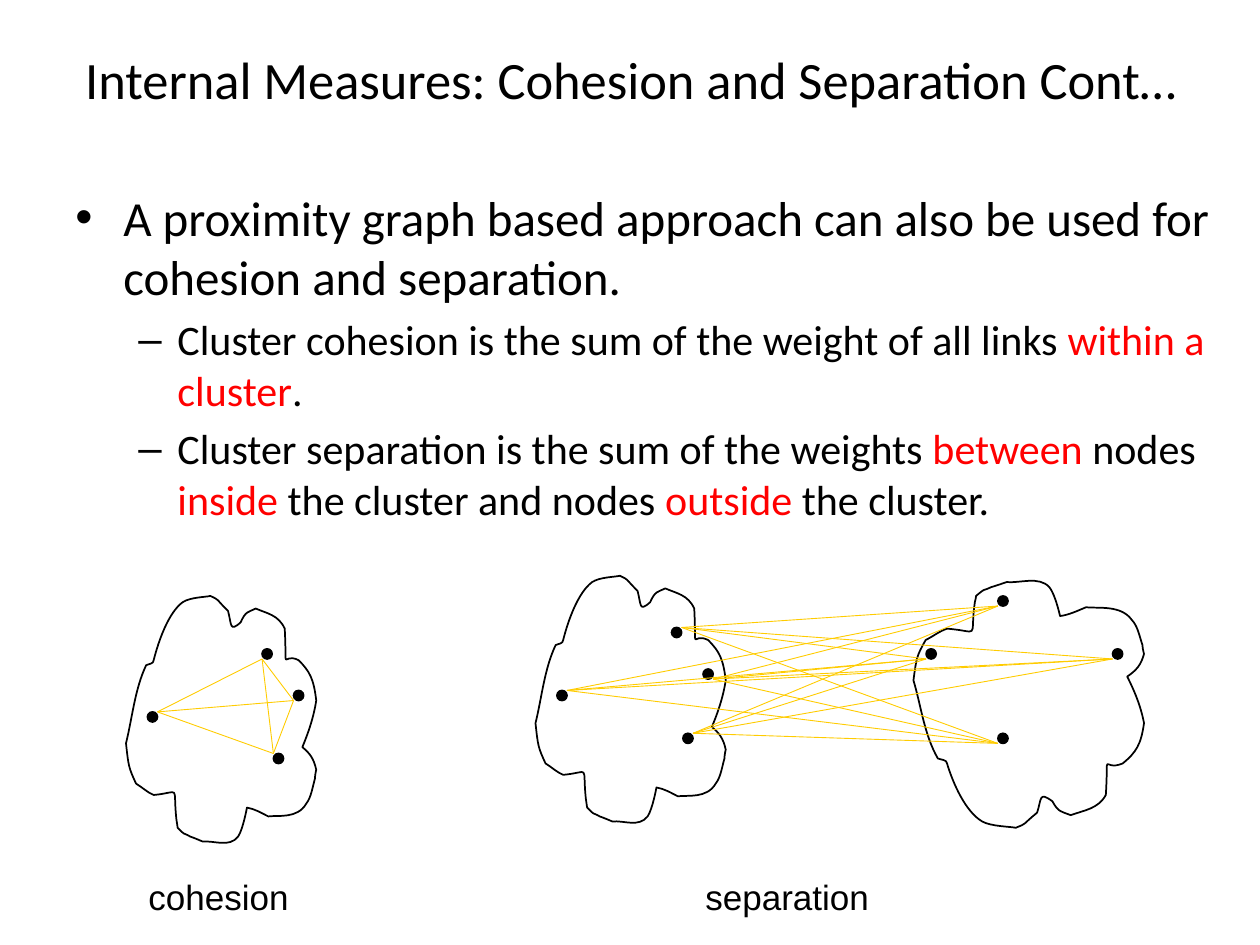
import itertools

import pptx
import pptx.dml.color
import pptx.enum.shapes
import pptx.enum.text
import pptx.oxml.ns
import pptx.util

Inches, Pt = pptx.util.Inches, pptx.util.Pt
qn = pptx.oxml.ns.qn
BLACK, RED, YELLOW = "000000", "FF0000", "FFCC00"
DOT = 0.08

TITLE = "Internal Measures: Cohesion and Separation Cont…"
# Each paragraph: level, then (text, colour) runs
BODY = [
    (0, [("A proximity graph based approach can also be used for cohesion and separation.", BLACK)]),
    (1, [("Cluster cohesion is the sum of the weight of all links ", BLACK),
         ("within a cluster", RED), (".", BLACK)]),
    (1, [("Cluster separation is the sum of the weights ", BLACK), ("between ", RED),
         ("nodes ", BLACK), ("inside ", RED), ("the cluster and nodes ", BLACK),
         ("outside", RED), (" the cluster.", BLACK)]),
]
# Level: text size, left margin, first-line indent, bullet, space before
LEVELS = {0: (28, 0.38, -0.38, "•", 0), 1: (24, 0.81, -0.31, "–", 4.8)}
CAPTIONS = [("cohesion", 1.08, 1.35), ("separation", 5.5, 1.5)]

# Cluster outline in inches from its top left corner: a start, then Bézier triples
OUTLINE_WIDTH, OUTLINE_HEIGHT = 1.51, 2.0
OUTLINE = [
    (0.16, 0.55),
    (0.07, 0.74), (0.05, 0.97), (0, 1.17), (0.02, 1.35), (0.02, 1.36), (0.08, 1.49),
    (0.13, 1.52), (0.17, 1.56), (0.22, 1.58), (0.44, 1.56), (0.37, 1.49), (0.4, 1.77),
    (0.4, 1.79), (0.41, 1.82), (0.41, 1.84), (0.48, 1.91), (0.44, 1.87), (0.51, 1.91),
    (0.54, 1.92), (0.61, 1.95), (0.61, 1.95), (0.7, 1.94), (0.82, 2), (0.89, 1.91),
    (0.93, 1.85), (0.96, 1.68), (0.96, 1.68), (1.02, 1.69), (1.07, 1.72), (1.13, 1.75),
    (1.21, 1.74), (1.36, 1.77), (1.43, 1.65), (1.47, 1.6), (1.48, 1.52), (1.5, 1.45),
    (1.5, 1.42), (1.51, 1.38), (1.51, 1.38), (1.49, 1.29), (1.46, 1.25), (1.4, 1.2),
    (1.45, 1.08), (1.49, 0.96), (1.51, 0.83), (1.49, 0.66), (1.46, 0.6), (1.37, 0.51),
    (1.23, 0.44), (1.28, 0.65), (1.26, 0.26), (1.21, 0.15), (1.12, 0.14), (1.03, 0.1),
    (0.97, 0.13), (0.95, 0.12), (0.91, 0.21), (0.82, 0.29), (0.84, 0.23), (0.81, 0.12),
    (0.7, 0.01), (0.75, 0.04), (0.67, 0), (0.63, 0.01), (0.51, 0.01), (0.45, 0.05),
    (0.34, 0.13), (0.26, 0.35), (0.22, 0.51), (0.22, 0.54), (0.18, 0.54), (0.16, 0.55),
]
# Left, top, width, upside down
CLUSTERS = [(1.0, 4.73, 1.51, False), (4.25, 4.57, 1.51, False), (7.25, 4.57, 1.83, True)]

# Nodes: left, top, and the corner where links end (0 = left/top, 1 = right/bottom)
COHESION_NODES = [(2.17, 5.98, 0, 0), (2.08, 5.15, 0, 1), (1.17, 5.65, 1, 0), (2.33, 5.48, 0, 1)]
INSIDE_NODES = [(5.42, 5.82, 1, 0), (5.33, 4.98, 1, 0), (4.42, 5.48, 1, 0), (5.58, 5.31, 1, 1)]
OUTSIDE_NODES = [(8.83, 5.15, 0, 1), (7.35, 5.15, 0, 1), (7.92, 5.82, 0, 1), (7.92, 4.73, 0, 1)]


def rgb(value):
    return pptx.dml.color.RGBColor.from_string(value)


def add_run(paragraph, text, *, size, font="Calibri", color=BLACK):
    run = paragraph.add_run()
    run.text = text
    run.font.size, run.font.name = Pt(size), font
    run.font.color.rgb = rgb(color)


def add_box(slide, left, top, width, height, wrap=True):
    frame = slide.shapes.add_textbox(*map(Inches, (left, top, width, height))).text_frame
    frame.word_wrap = wrap
    if not wrap:
        frame.auto_size = pptx.enum.text.MSO_AUTO_SIZE.SHAPE_TO_FIT_TEXT
    return frame


def add_body(slide):
    frame = add_box(slide, 0.5, 1.44, 9.25, 3.06)
    for index, (level, runs) in enumerate(BODY):
        paragraph = frame.add_paragraph() if index else frame.paragraphs[0]
        size, margin, indent, bullet, space = LEVELS[level]
        properties = paragraph._p.get_or_add_pPr()
        properties.set("marL", str(Inches(margin)))
        properties.set("indent", str(Inches(indent)))
        for tag, key, value in (("a:buFont", "typeface", "Arial"), ("a:buChar", "char", bullet)):
            properties.append(properties.makeelement(qn(tag), {key: value}))
        paragraph.level = level
        if space:
            paragraph.space_before = Pt(space)
        for text, color in runs:
            add_run(paragraph, text, size=size, color=color)


def curve_segments(shape):
    """Turn every three straight segments into one cubic Bézier curve."""
    segments = list(shape._element.iter(qn("a:lnTo")))
    for start in range(0, len(segments), 3):
        curve = segments[start].makeelement(qn("a:cubicBezTo"), {})
        segments[start].addprevious(curve)
        for segment in segments[start:start + 3]:
            curve.append(segment[0])
            segment.getparent().remove(segment)


def add_cluster(slide, left, top, width, upside_down):
    scale = width / OUTLINE_WIDTH
    points = [(Inches(left + x * scale), Inches(top + (OUTLINE_HEIGHT - y if upside_down else y)))
              for x, y in OUTLINE]
    builder = slide.shapes.build_freeform(*points[0])
    builder.add_line_segments(points[1:], close=True)
    shape = builder.convert_to_shape()
    shape.shadow.inherit = False
    shape.fill.background()
    shape.line.color.rgb, shape.line.width = rgb(BLACK), Pt(1)
    curve_segments(shape)


def add_node(slide, left, top):
    shape = slide.shapes.add_shape(pptx.enum.shapes.MSO_SHAPE.OVAL,
                                   *map(Inches, (left, top, DOT, DOT)))
    shape.shadow.inherit = False
    shape.fill.solid()
    shape.fill.fore_color.rgb = rgb(BLACK)
    shape.line.color.rgb, shape.line.width = rgb(BLACK), Pt(1)


def add_link(slide, *nodes):
    ends = [Inches(value) for left, top, right, bottom in nodes
            for value in (left + right * DOT, top + bottom * DOT)]
    link = slide.shapes.add_connector(pptx.enum.shapes.MSO_CONNECTOR.STRAIGHT, *ends)
    link.line.color.rgb, link.line.width = rgb(YELLOW), Pt(0.5)
    properties = link._element.spPr
    properties.append(properties.makeelement(qn("a:effectLst"), {}))


def main():
    presentation = pptx.Presentation()
    presentation.slide_width, presentation.slide_height = Inches(10), Inches(7.5)
    slide = presentation.slides.add_slide(presentation.slide_layouts[6])

    add_body(slide)
    title = add_box(slide, 0.51, 0, 9, 1.25)
    title.vertical_anchor = pptx.enum.text.MSO_ANCHOR.MIDDLE
    title.paragraphs[0].alignment = pptx.enum.text.PP_ALIGN.CENTER
    add_run(title.paragraphs[0], TITLE, size=30)

    for cluster in CLUSTERS:
        add_cluster(slide, *cluster)
    for left, top, *_ in COHESION_NODES + INSIDE_NODES + OUTSIDE_NODES:
        add_node(slide, left, top)
    for pair in itertools.chain(itertools.combinations(COHESION_NODES, 2),
                                itertools.product(INSIDE_NODES, OUTSIDE_NODES)):
        add_link(slide, *pair)
    for text, left, width in CAPTIONS:
        caption = add_box(slide, left, 6.9, width, 0.43, wrap=False)
        add_run(caption.paragraphs[0], text, size=20, font="Arial")

    presentation.save("out.pptx")


if __name__ == "__main__":
    main()
